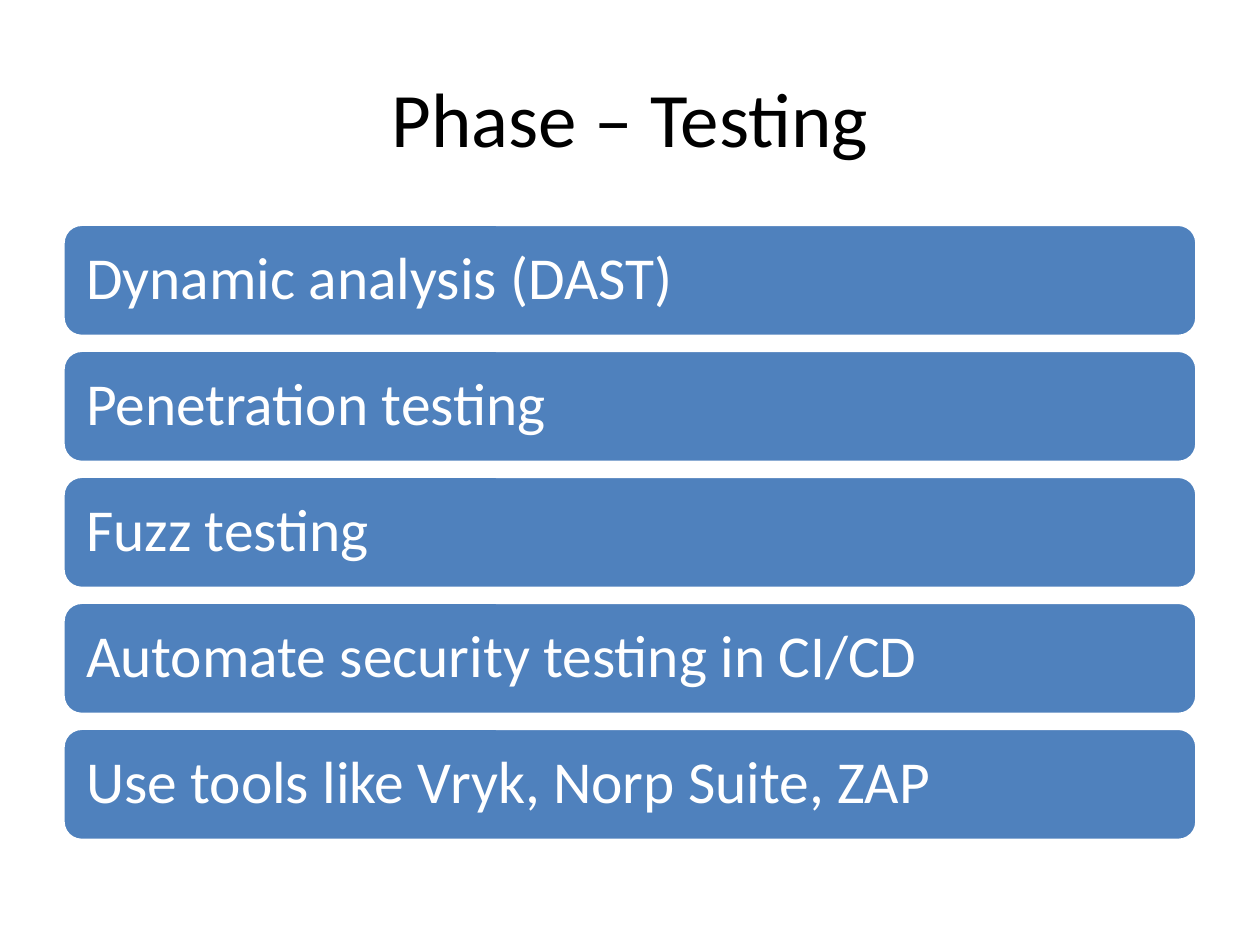
from pptx import Presentation
from pptx.dml.color import RGBColor
from pptx.enum.shapes import MSO_SHAPE as SHAPE
from pptx.enum.text import MSO_ANCHOR as ANCHOR, PP_ALIGN as ALIGN
from pptx.util import Inches, Pt

MARGIN, WIDTH = 0.5, 9
TOP, PITCH, BAR_HEIGHT = 1.78, 1, 0.89
ITEMS = [
    "Dynamic analysis (DAST)",
    "Penetration testing",
    "Fuzz testing",
    "Automate security testing in CI/CD",
    "Use tools like Vryk, Norp Suite, ZAP",
]


def color(value):
    """Turn a hex string into a colour."""
    return RGBColor.from_string(value)


def write(sp, text, size=34, fill="FFFFFF", align=ALIGN.LEFT, spacing=1.0, inset=(0.1, 0.05)):
    """Put one formatted, vertically centred paragraph in a shape."""
    tf = sp.text_frame
    tf.word_wrap = True
    tf.vertical_anchor = ANCHOR.MIDDLE
    tf.margin_left = tf.margin_right = Inches(inset[0])
    tf.margin_top = tf.margin_bottom = Inches(inset[1])
    p = tf.paragraphs[0]
    p.alignment, p.line_spacing = align, spacing
    r = p.add_run()
    r.text = text
    r.font.name, r.font.size = "Calibri", Pt(size)
    r.font.color.rgb = color(fill)


def add_title(s, text):
    """Add the centred slide title."""
    box = s.shapes.add_textbox(Inches(MARGIN), Inches(0.3), Inches(WIDTH), Inches(1.25))
    write(box, text, size=44, fill="000000", align=ALIGN.CENTER)


def add_bar(s, row, text):
    """Add the rounded bar of one list row."""
    sp = s.shapes.add_shape(SHAPE.ROUNDED_RECTANGLE, Inches(MARGIN), Inches(TOP + row * PITCH),
                            Inches(WIDTH), Inches(BAR_HEIGHT))
    sp.adjustments[0] = 0.167
    sp.shadow.inherit = False
    sp.fill.solid()
    sp.fill.fore_color.rgb = color("4F81BD")
    sp.line.color.rgb = color("FFFFFF")
    sp.line.width = Pt(2)
    write(sp, text, spacing=0.9, inset=(0.14, 0.14))


def main():
    """Build the slide and save it."""
    prs = Presentation()
    prs.slide_width, prs.slide_height = Inches(10), Inches(7.5)
    s = prs.slides.add_slide(prs.slide_layouts[6])
    add_title(s, "Phase – Testing")
    for row, text in enumerate(ITEMS):
        add_bar(s, row, text)
    prs.save("out.pptx")


if __name__ == "__main__":
    main()
